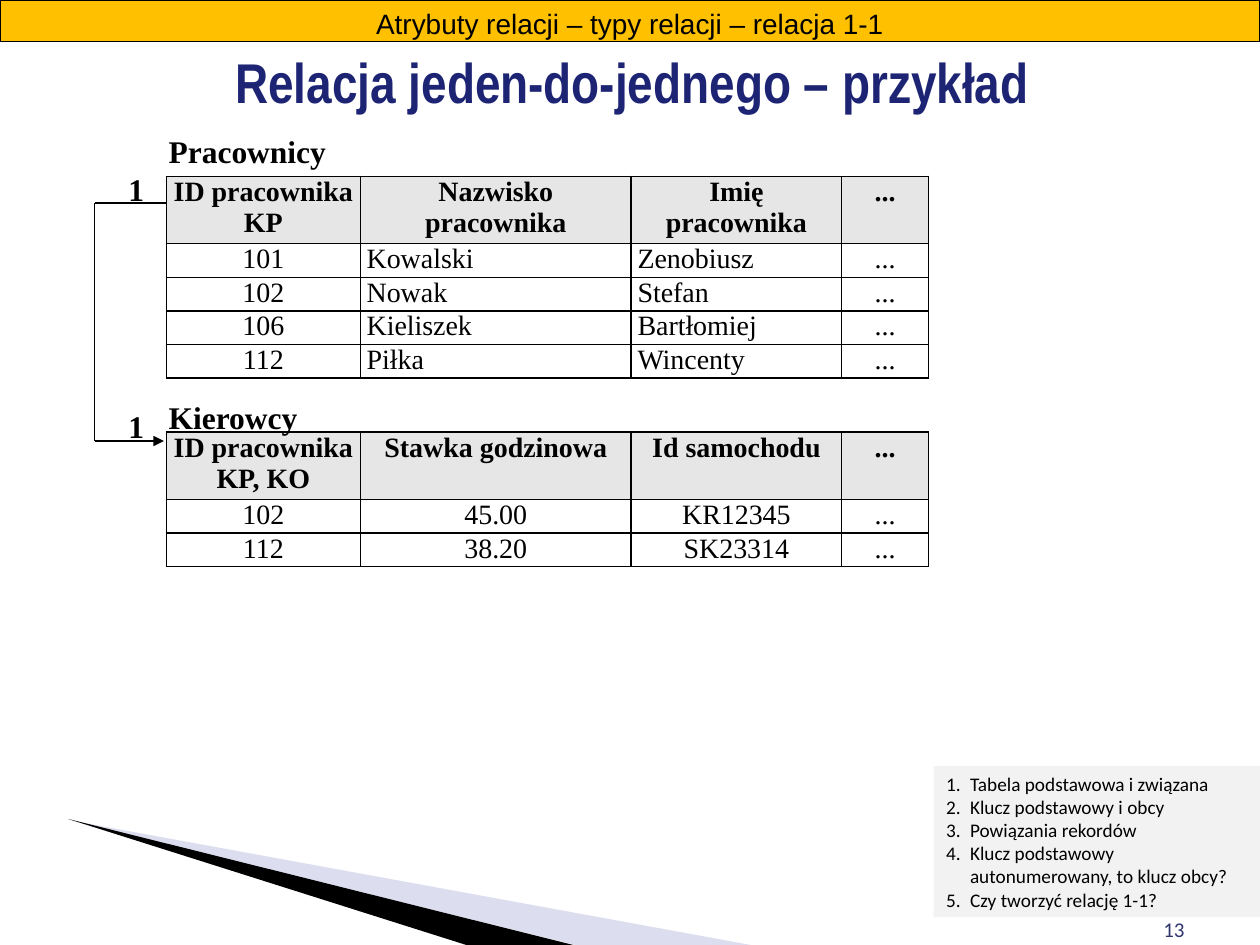
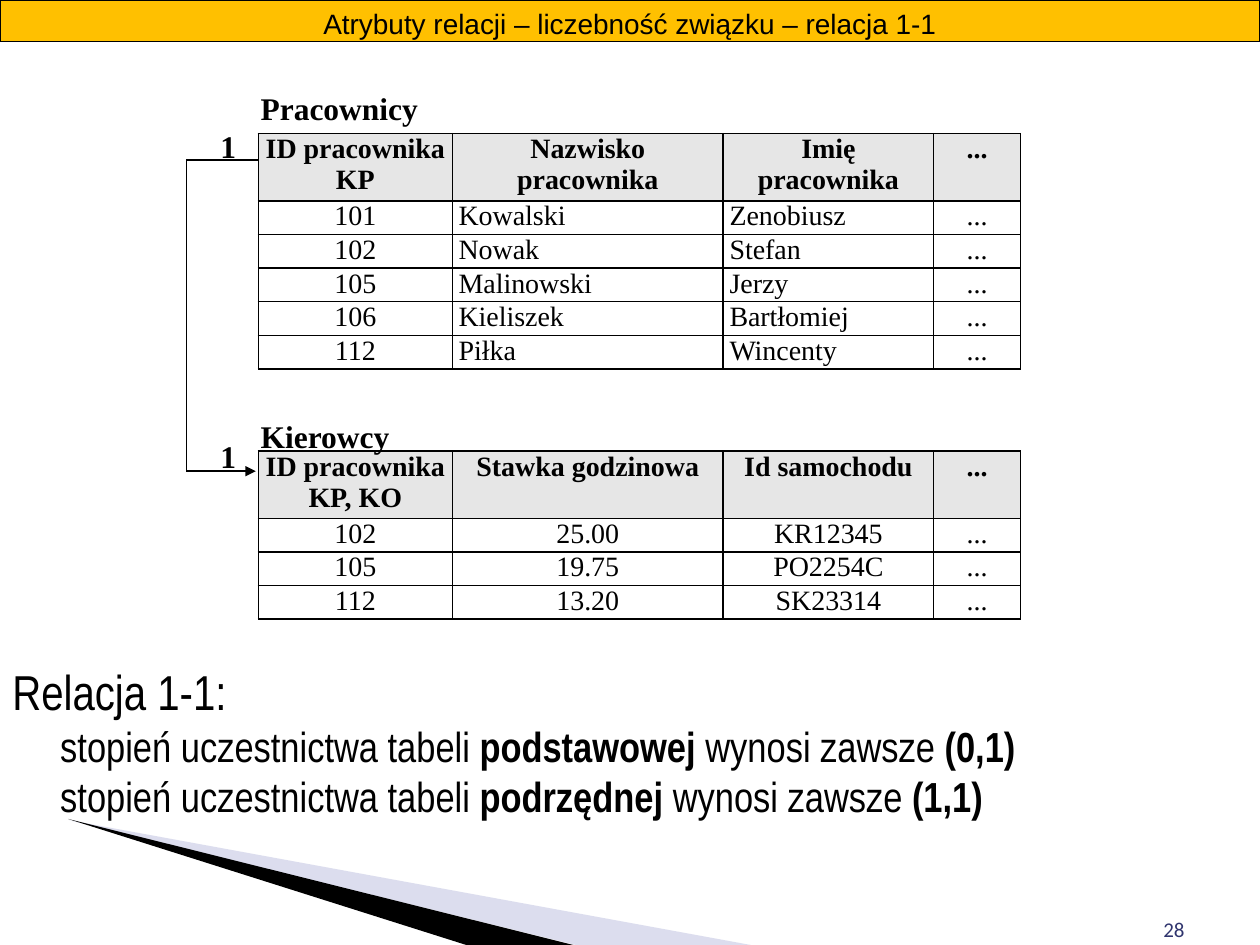
from copy import deepcopy
from dataclasses import dataclass

from lxml import etree
from pptx import Presentation
from pptx.dml.color import RGBColor
from pptx.enum.shapes import MSO_CONNECTOR as Connector
from pptx.enum.shapes import MSO_SHAPE as Shape
from pptx.enum.text import MSO_ANCHOR as Anchor
from pptx.enum.text import MSO_AUTO_SIZE as AutoSize
from pptx.enum.text import PP_ALIGN as Align
from pptx.oxml.ns import qn
from pptx.util import Inches, Pt


@dataclass(frozen=True)
class Theme:
    black: str = "000000"
    band: str = "FFC000"
    title: str = "1D2474"
    number: str = "30356E"
    header: str = "E6E6E6"
    panel: str = "F2F2F2"
    wedge: str = "A8ABD5"
    band_font: str = "Arial"
    title_font: str = "Arial Narrow"
    table_font: str = "Times New Roman"
    note_font: str = "Calibri"
    title_size: int = 32
    lead_size: int = 28
    body_size: int = 24
    name_size: int = 18
    table_size: int = 16
    number_size: int = 12
    note_size: int = 11


THEME = Theme()

# Content: "\n" starts a paragraph, "\v" breaks a line inside one
EMPLOYEE_TITLES = ("Nazwisko pracownika", "Imię pracownika", "...")
DRIVER_TITLES = ("Stawka godzinowa", "Id samochodu", "...")
KOWALSKI = ("101", "Kowalski", "Zenobiusz", "...")
NOWAK = ("102", "Nowak", "Stefan", "...")
MALINOWSKI = ("105", "Malinowski", "Jerzy", "...")
KIELISZEK = ("106", "Kieliszek", "Bartłomiej", "...")
PILKA = ("112", "Piłka", "Wincenty", "...")

EXAMPLE = {
    "band": "Atrybuty relacji – typy relacji – relacja 1-1",
    "number": "13",
    "left": 1.32,
    "employees_top": 1.4,
    "drivers_top": 3.43,
    "arrow_y": 3.5,
    "employees": [("ID pracownika\nKP", *EMPLOYEE_TITLES),
                  KOWALSKI, NOWAK, KIELISZEK, PILKA],
    "drivers": [("ID pracownika\nKP, KO", *DRIVER_TITLES),
                ("102", "45.00", "KR12345", "..."),
                ("112", "38.20", "SK23314", "...")],
}
CARDINALITY = {
    "band": "Atrybuty relacji – liczebność związku – relacja 1-1",
    "number": "28",
    "left": 2.05,
    "employees_top": 1.06,
    "drivers_top": 3.58,
    "arrow_y": 3.74,
    "employees": [("ID pracownika\vKP", *EMPLOYEE_TITLES),
                  KOWALSKI, NOWAK, MALINOWSKI, KIELISZEK, PILKA],
    "drivers": [("ID pracownika\vKP, KO", *DRIVER_TITLES),
                ("102", "25.00", "KR12345", "..."),
                ("105", "19.75", "PO2254C", "..."),
                ("112", "13.20", "SK23314", "...")],
}
EXAMPLE_TITLE = "Relacja jeden-do-jednego – przykład"
QUESTIONS = "\n".join([
    "Tabela podstawowa i związana",
    "Klucz podstawowy i obcy",
    "Powiązania rekordów",
    "Klucz podstawowy autonumerowany, to klucz obcy?",
    "Czy tworzyć relację 1-1?",
])
# Runs of (text, size, bold)
PARTICIPATION = [
    ("Relacja 1-1:\v", THEME.lead_size, False),
    ("stopień uczestnictwa tabeli ", THEME.body_size, False),
    ("podstawowej", THEME.body_size, True),
    (" wynosi zawsze ", THEME.body_size, False),
    ("(0,1)\v", THEME.body_size, True),
    ("stopień uczestnictwa tabeli ", THEME.body_size, False),
    ("podrzędnej", THEME.body_size, True),
    (" wynosi zawsze ", THEME.body_size, False),
    ("(1,1)", THEME.body_size, True),
]

# Measures in inches
SLIDE_SIZE = (10, 7.5)
COLUMNS = (1.54, 2.15, 1.67, 0.69)
HEADER_HEIGHT, ROW_HEIGHT = 0.49, 0.25
WEDGES = [
    ([(0.55, 6.51), (5.96, 7.5), (4.57, 7.5)], THEME.wedge, 40),
    ([(0.54, 6.5), (4.55, 7.5), (3.7, 7.5)], THEME.black, 100),
]


def color(value):
    return RGBColor.from_string(value)


def write_text(frame, content, font, size, fill=THEME.black, bold=False,
               align=Align.LEFT, anchor=Anchor.TOP, hang=0, numbered=False):
    """Fill a text frame with a string or with (text, size, bold) runs."""
    frame.word_wrap = True
    frame.vertical_anchor = anchor
    if isinstance(content, str):
        paragraphs = [[(line, size, bold)] for line in content.split("\n")]
    else:
        paragraphs = [content]
    for index, runs in enumerate(paragraphs):
        paragraph = frame.add_paragraph() if index else frame.paragraphs[0]
        paragraph.alignment = align
        if hang:
            properties = paragraph._p.get_or_add_pPr()
            properties.set("marL", str(Inches(hang)))
            properties.set("indent", str(-Inches(hang)))
            if numbered:
                etree.SubElement(properties, qn("a:buAutoNum"), type="arabicPeriod")
        for text, run_size, run_bold in runs:
            for part, line in enumerate(text.split("\v")):
                if part:
                    paragraph.add_line_break()
                    paragraph._p[-1].append(deepcopy(run._r.rPr))
                if line:
                    run = paragraph.add_run()
                    run.text = line
                    run.font.name = font
                    run.font.size = Pt(run_size)
                    run.font.bold = run_bold
                    run.font.color.rgb = color(fill)


def add_text(slide, box, content, **style):
    frame = slide.shapes.add_textbox(*map(Inches, box)).text_frame
    write_text(frame, content, **style)
    return frame


def add_box(slide, box, fill, line=None):
    shape = slide.shapes.add_shape(Shape.RECTANGLE, *map(Inches, box))
    shape.shadow.inherit = False
    shape.fill.solid()
    shape.fill.fore_color.rgb = color(fill)
    if line:
        shape.line.color.rgb = color(line)
        shape.line.width = Pt(0.75)
    else:
        shape.line.fill.background()
    return shape


def add_wedge(slide, points, fill, opacity):
    start, *rest = [tuple(map(Inches, point)) for point in points]
    builder = slide.shapes.build_freeform(*start)
    builder.add_line_segments(rest, close=True)
    wedge = builder.convert_to_shape()
    wedge.shadow.inherit = False
    wedge.line.fill.background()
    wedge.fill.solid()
    wedge.fill.fore_color.rgb = color(fill)
    if opacity < 100:
        tone = wedge._element.spPr.find(".//" + qn("a:srgbClr"))
        etree.SubElement(tone, qn("a:alpha"), val=str(opacity * 1000))


def add_line(slide, start, end, arrow=False):
    line = slide.shapes.add_connector(Connector.STRAIGHT, *map(Inches, start + end))
    line.line.color.rgb = color(THEME.black)
    line.line.width = Pt(1)
    if arrow:
        etree.SubElement(line.line._get_or_add_ln(), qn("a:tailEnd"), type="triangle")
    etree.SubElement(line._element.spPr, qn("a:effectLst"))


def add_borders(cell):
    properties = cell._tc.get_or_add_tcPr()
    for position, side in enumerate(("lnL", "lnR", "lnT", "lnB")):
        border = etree.Element(qn("a:" + side), w=str(Pt(1)))
        fill = etree.SubElement(border, qn("a:solidFill"))
        etree.SubElement(fill, qn("a:srgbClr"), val=THEME.black)
        properties.insert(position, border)


def add_table(slide, left, top, rows, left_columns=()):
    height = HEADER_HEIGHT + ROW_HEIGHT * (len(rows) - 1)
    box = map(Inches, (left, top, sum(COLUMNS), height))
    table = slide.shapes.add_table(len(rows), len(COLUMNS), *box).table
    table.first_row = table.horz_banding = False
    for column, width in zip(table.columns, COLUMNS):
        column.width = Inches(width)
    for row_index, values in enumerate(rows):
        header = row_index == 0
        table.rows[row_index].height = Inches(HEADER_HEIGHT if header else ROW_HEIGHT)
        for column_index, value in enumerate(values):
            cell = table.cell(row_index, column_index)
            cell.margin_left = cell.margin_right = Inches(0.05)
            cell.margin_top = cell.margin_bottom = 0
            if header:
                cell.fill.solid()
                cell.fill.fore_color.rgb = color(THEME.header)
            else:
                cell.fill.background()
            add_borders(cell)
            to_left = not header and column_index in left_columns
            write_text(cell.text_frame, value, THEME.table_font, THEME.table_size,
                       bold=header, align=Align.LEFT if to_left else Align.CENTER)


def add_relation(slide, content):
    """Draw both tables, their names and the 1-1 link between them."""
    left = content["left"]
    employees_top, drivers_top = content["employees_top"], content["drivers_top"]
    add_table(slide, left, employees_top, content["employees"], left_columns=(1, 2))
    add_table(slide, left, drivers_top, content["drivers"])

    # Link: out of the first table, down, and into the second
    spine, link_y, arrow_y = left - 0.57, employees_top + 0.21, content["arrow_y"]
    add_line(slide, (left, link_y), (spine, link_y))
    add_line(slide, (spine, link_y), (spine, arrow_y))
    add_line(slide, (spine, arrow_y), (left - 0.02, arrow_y), arrow=True)

    # Table names and cardinalities
    labels = [
        ("Pracownicy", left - 0.08, employees_top - 0.4, 1.89),
        ("Kierowcy", left - 0.08, drivers_top - 0.32, 1.89),
        ("1", left - 0.4, link_y - 0.31, 0.31),
        ("1", left - 0.4, arrow_y - 0.32, 0.31),
    ]
    for text, x, y, width in labels:
        frame = add_text(slide, (x, y, width, 0.4), text, font=THEME.table_font,
                         size=THEME.name_size, bold=True)
        frame.auto_size = AutoSize.SHAPE_TO_FIT_TEXT


def add_base_slide(presentation, content):
    """Start a slide with the wedges, page number, band and tables."""
    slide = presentation.slides.add_slide(presentation.slide_layouts[6])
    for points, fill, opacity in WEDGES:
        add_wedge(slide, points, fill, opacity)
    add_text(slide, (7.17, 7, 2.33, 0.52), content["number"], font=THEME.note_font,
             size=THEME.number_size, fill=THEME.number, align=Align.RIGHT,
             anchor=Anchor.BOTTOM)
    add_relation(slide, content)
    band = add_box(slide, (0, 0, 10, 0.33), THEME.band, line=THEME.black)
    write_text(band.text_frame, content["band"], THEME.band_font, THEME.table_size,
               align=Align.CENTER)
    return slide


def main():
    presentation = Presentation()
    presentation.slide_width, presentation.slide_height = map(Inches, SLIDE_SIZE)

    # Example with questions
    slide = add_base_slide(presentation, EXAMPLE)
    title = add_text(slide, (0.04, 0.33, 9.96, 0.58), EXAMPLE_TITLE,
                     font=THEME.title_font, size=THEME.title_size,
                     fill=THEME.title, bold=True, align=Align.CENTER)
    title.margin_left = title.margin_right = Inches(0.05)
    panel = add_box(slide, (7.41, 6.08, 2.59, 1.2), THEME.panel)
    write_text(panel.text_frame, QUESTIONS, THEME.note_font, THEME.note_size,
               hang=0.19, numbered=True)

    # Cardinality with participation rules
    slide = add_base_slide(presentation, CARDINALITY)
    add_text(slide, (0, 5.2, 10, 1.63), PARTICIPATION, font=THEME.title_font,
             size=THEME.body_size, hang=0.38)

    presentation.save("out.pptx")


if __name__ == "__main__":
    main()
